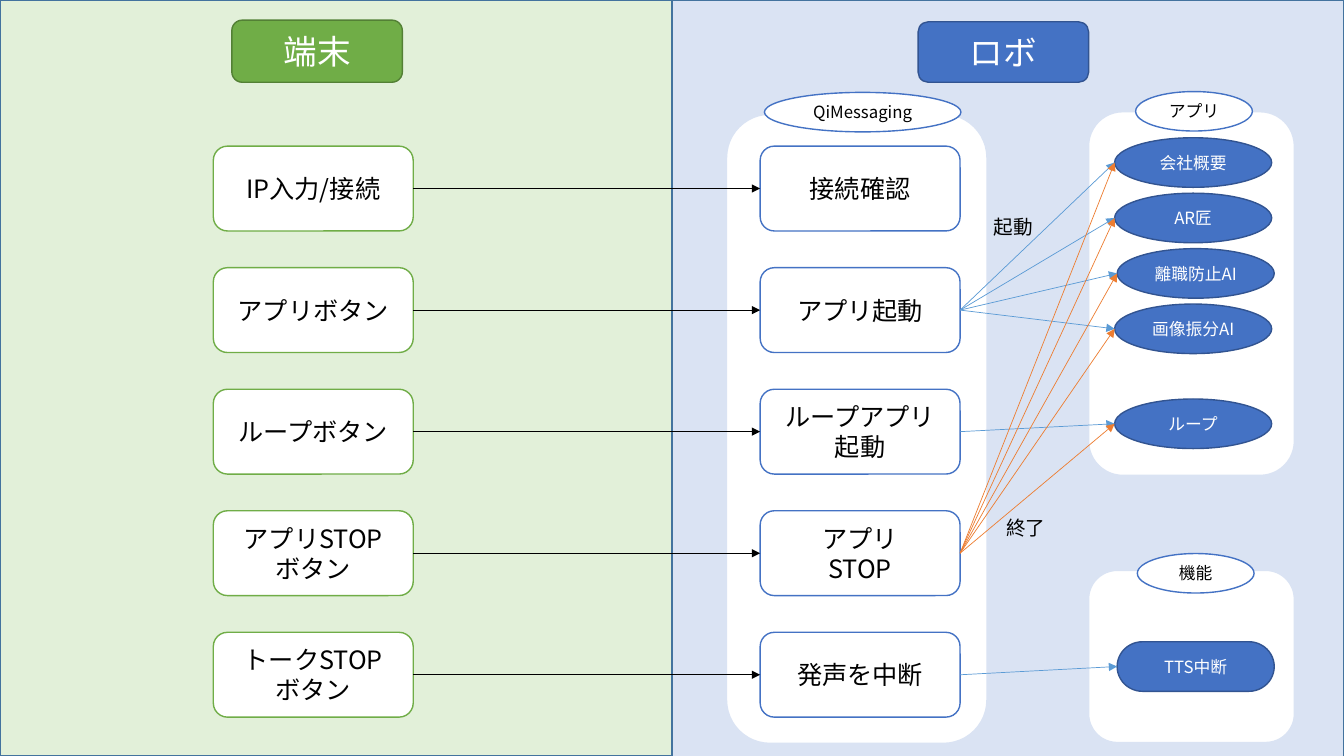
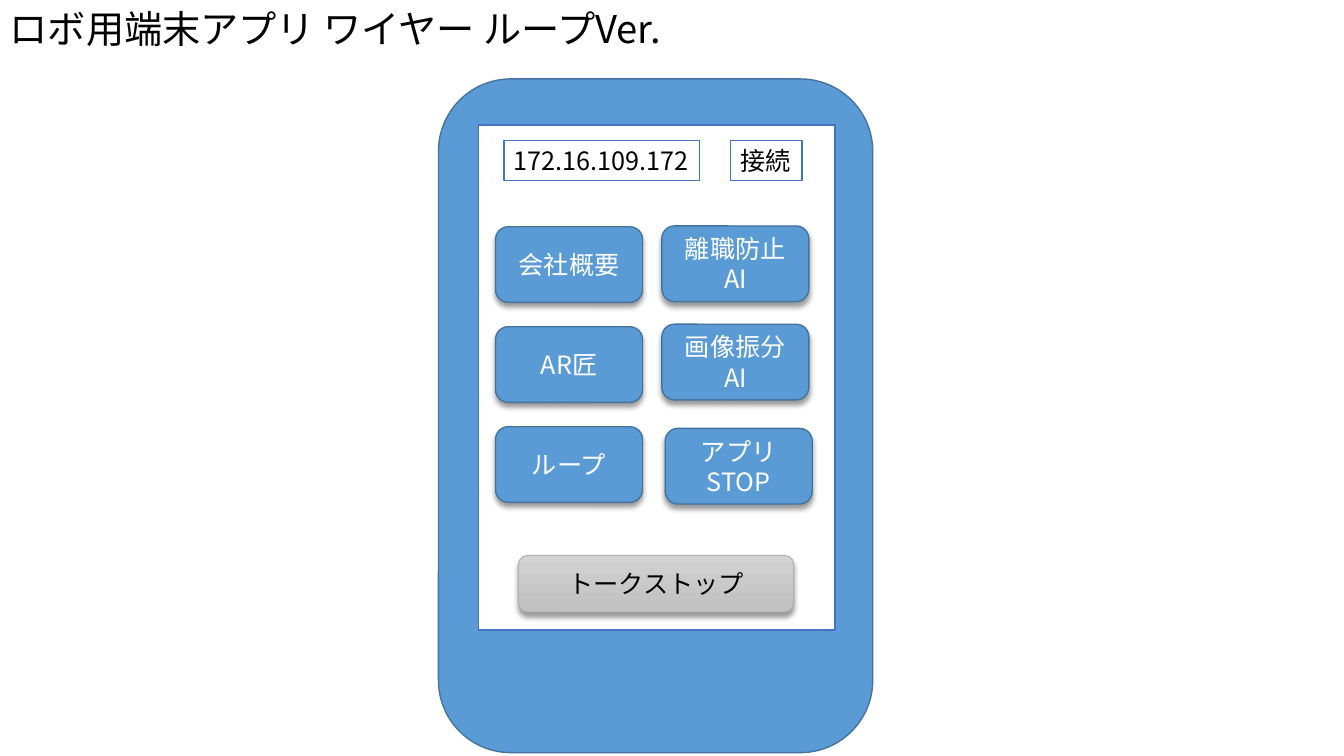
"""Build a system flow slide and a phone wireframe slide."""
from dataclasses import dataclass, replace
from typing import Any, Optional

from lxml import etree
from pptx import Presentation
from pptx import util as u
from pptx.dml.color import RGBColor
from pptx.enum import shapes, text
from pptx.oxml import ns

COLUMNS, ROWS = 160, 90
CELL = u.Inches(7.5) / ROWS
FONT = "Noto Sans CJK JP"
COLORS = {
    "white": "FFFFFF", "black": "000000", "blue": "4472C4", "blue_edge": "325491",
    "sky": "5B9BD5", "sky_edge": "43739E", "pale_blue": "DAE3F3",
    "green": "70AD47", "green_edge": "538035", "pale_green": "E2F0D9",
    "orange": "ED7D31", "gray_edge": "A5A5A5", "gray_top": "D2D2D2", "gray_end": "C0C0C0",
}
GEOMETRY = shapes.MSO_SHAPE
RECTANGLE, ROUNDED = GEOMETRY.RECTANGLE, GEOMETRY.ROUNDED_RECTANGLE
OVAL, TERMINATOR = GEOMETRY.FLOWCHART_CONNECTOR, GEOMETRY.FLOWCHART_TERMINATOR
CENTERED = {"vertical_anchor": text.MSO_ANCHOR.MIDDLE, "word_wrap": True}
FITTED = {"vertical_anchor": text.MSO_ANCHOR.TOP, "word_wrap": False,
          "auto_size": text.MSO_AUTO_SIZE.SHAPE_TO_FIT_TEXT}
TITLE = {"vertical_anchor": text.MSO_ANCHOR.TOP, "word_wrap": True}


@dataclass(frozen=True)
class Area:
    """A rectangle in grid cells."""
    column: float
    row: float
    width: float
    height: float

    def lengths(self) -> list[int]:
        """Return left, top, width and height in EMU."""
        return [cells(n) for n in (self.column, self.row, self.width, self.height)]


@dataclass(frozen=True)
class Style:
    """The look of a kind of shape."""
    geometry: Any
    fill: str
    line: str
    color: str = "black"
    size: float = 18
    line_width: float = 1
    shadow: bool = False
    gradient_end: Optional[str] = None
    fitted: bool = False


PANEL = Style(RECTANGLE, "pale_blue", "sky_edge")
GROUP = Style(ROUNDED, "white", "pale_blue")
HEADING = Style(ROUNDED, "blue", "blue_edge", "white", 24)
STEP = Style(ROUNDED, "white", "blue")
APP = Style(OVAL, "blue", "blue_edge", "white", 12)
CAPTION = Style(OVAL, "white", "blue", size=12)
PHONE = Style(ROUNDED, "sky", "sky_edge")
SCREEN = Style(RECTANGLE, "white", "blue")
FIELD = replace(SCREEN, fitted=True)
BUTTON = Style(ROUNDED, "sky", "sky_edge", "white", shadow=True)
TALK = Style(ROUNDED, "gray_top", "gray_edge", line_width=0.5, shadow=True,
             gradient_end="gray_end")


def cells(count: float) -> int:
    """Convert grid cells to EMU."""
    return round(count * CELL)


def rgb(name: str) -> RGBColor:
    """Look up a named colour."""
    return RGBColor.from_string(COLORS[name])


def add_xml(parent: Any, tag: str, **attributes: str) -> Any:
    """Append a drawing element."""
    return etree.SubElement(parent, ns.qn(tag), attributes)


def assign(target: Any, values: dict[str, Any]) -> None:
    """Set attributes from format values."""
    for name, value in values.items():
        setattr(target, name, value)


def write(shape: Any, words: str, size: float, color: str, frame: dict[str, Any],
          paragraph_format: dict[str, Any]) -> None:
    """Fill a shape with one formatted paragraph."""
    assign(shape.text_frame, frame)
    paragraph = shape.text_frame.paragraphs[0]
    paragraph.text = words
    assign(paragraph, paragraph_format)
    for run in paragraph.runs:
        assign(run.font, {"size": u.Pt(size), "name": FONT})
        run.font.color.rgb = rgb(color)
        add_xml(run.font._element, "a:ea", typeface=FONT)


def add_shadow(shape: Any) -> None:
    """Give a shape a soft shadow below it."""
    effects = shape.element.spPr.find(ns.qn("a:effectLst"))
    shadow = add_xml(effects, "a:outerShdw", blurRad=str(u.Pt(4)), dist=str(u.Pt(3)),
                     dir="5400000", algn="t", rotWithShape="0")
    color = add_xml(shadow, "a:srgbClr", val=COLORS["black"])
    add_xml(color, "a:alpha", val="40000")


def add_block(slide: Any, area: Area, style: Style, words: str = "") -> Any:
    """Draw a styled shape with optional text."""
    shape = slide.shapes.add_shape(style.geometry, *area.lengths())
    shape.shadow.inherit = False
    if style.gradient_end:
        shape.fill.gradient()
        shape.fill.gradient_angle = 270
        for stop, name in zip(shape.fill.gradient_stops, (style.fill, style.gradient_end)):
            stop.color.rgb = rgb(name)
    else:
        shape.fill.solid()
        shape.fill.fore_color.rgb = rgb(style.fill)
    shape.line.color.rgb = rgb(style.line)
    shape.line.width = u.Pt(style.line_width)
    if style.shadow:
        add_shadow(shape)
    if words:
        alignment = text.PP_ALIGN.LEFT if style.fitted else text.PP_ALIGN.CENTER
        write(shape, words, style.size, style.color, FITTED if style.fitted else CENTERED,
              {"alignment": alignment})
    return shape


def add_label(slide: Any, area: Area, words: str, size: float, frame: dict[str, Any],
              **paragraph_format: Any) -> None:
    """Draw a plain text box."""
    box = slide.shapes.add_textbox(*area.lengths())
    write(box, words, size, "black", frame, paragraph_format)


def add_arrow(slide: Any, source: Any, target: Any, color: str) -> None:
    """Draw an arrow from a right side to a left side."""
    connector = slide.shapes.add_connector(
        shapes.MSO_CONNECTOR.STRAIGHT,
        source.left + source.width, source.top + source.height // 2,
        target.left, target.top + target.height // 2)
    connector.begin_connect(source, 3)
    if target.auto_shape_type != OVAL:
        connector.end_connect(target, 1)
    connector.line.color.rgb = rgb(color)
    connector.line.width = u.Pt(0.5)
    add_xml(connector.get_or_add_ln(), "a:tailEnd", type="triangle")
    add_xml(connector.element.spPr, "a:effectLst")


def build_flow(slide: Any) -> None:
    """Draw the message flow between device and robot."""
    half = COLUMNS / 2
    add_block(slide, Area(half, 0.1, half, ROWS), PANEL)
    for area in (Area(86.5, 13.6, 31, 74.9), Area(129.6, 67.9, 24.5, 20.5),
                 Area(129.6, 13.3, 24.5, 43.3)):
        add_block(slide, area, GROUP)
    add_block(slide, Area(0, 0, half, ROWS), replace(PANEL, fill="pale_green"))
    add_block(slide, Area(27.6, 2.4, 20.3, 7.4),
              replace(HEADING, fill="green", line="green_edge"), "端末")
    add_block(slide, Area(109.3, 2.6, 20.3, 7.2), HEADING, "ロボ")

    pairs = (("IP入力/接続", "接続確認"), ("アプリボタン", "アプリ起動"),
             ("ループボタン", "ループアプリ\n起動"), ("アプリSTOP\nボタン", "アプリ\nSTOP"),
             ("トークSTOP\nボタン", "発声を中断"))
    steps = []
    for index, (request, action) in enumerate(pairs):
        area = Area(25.4, 17.4 + 14.47 * index, 23.8, 10.1)
        button = add_block(slide, area, replace(STEP, line="green"), request)
        steps.append(add_block(slide, replace(area, column=90.5), STEP, action))
        add_arrow(slide, button, steps[-1], "black")

    names = ("会社概要", "AR匠", "離職防止AI", "画像振分AI")
    places = [(name, 133 if index == 2 else 132.7, 16.4 + 6.6 * index)
              for index, name in enumerate(names)]
    places.append(("ループ", 132.7, 47.5))
    apps = [add_block(slide, Area(column, row, 18.7, 5.9), APP, name)
            for name, column, row in places]
    speech = add_block(slide, Area(133, 76.4, 18.7, 5.9),
                       replace(APP, geometry=TERMINATOR), "TTS中断")
    _, launch, loop, stop, mute = steps
    for source, targets, color in ((launch, apps[:-1], "sky"), (loop, apps[-1:], "sky"),
                                   (stop, apps, "orange"), (mute, [speech], "sky")):
        for target in targets:
            add_arrow(slide, source, target, color)

    for words, area in (("アプリ", Area(135.2, 10.9, 13.9, 4.7)),
                        ("機能", Area(135.4, 65.9, 13.9, 4.7)),
                        ("QiMessaging", Area(91, 11, 23.4, 4.7))):
        add_block(slide, area, CAPTION, words)
    for words, column, row in (("起動", 117.1, 25), ("終了", 118.6, 60.8)):
        add_label(slide, Area(column, row, 7.1, 4.1), words, 14, FITTED)


def build_wireframe(slide: Any) -> None:
    """Draw the phone screen with its buttons."""
    add_block(slide, Area(52.2, 9.4, 51.7, 80.2), PHONE)
    add_block(slide, Area(57, 14.9, 42.4, 60.1), SCREEN)
    add_block(slide, Area(60, 16.7, 23.3, 4.8), FIELD, "172.16.109.172")
    add_block(slide, Area(87, 16.7, 8.5, 4.8), FIELD, "接続")
    for words, column, row in (
            ("会社概要", 59, 27), ("離職防止AI", 78.8, 26.9),
            ("AR匠", 59, 38.9), ("画像振分AI", 78.8, 38.6),
            ("ループ", 59, 50.8), ("アプリSTOP", 79.2, 51)):
        add_block(slide, Area(column, row, 17.5, 9), BUTTON, words)
    add_block(slide, Area(61.7, 66.1, 32.8, 6.8), TALK, "トークストップ")
    add_label(slide, Area(0, 0.7, 138, 8.6), "ロボ用端末アプリ ワイヤー ループVer.", 27.3,
              TITLE, line_spacing=0.9)


def main() -> None:
    """Build and save the presentation."""
    presentation = Presentation()
    presentation.slide_width, presentation.slide_height = cells(COLUMNS), cells(ROWS)
    for build in (build_flow, build_wireframe):
        build(presentation.slides.add_slide(presentation.slide_layouts[6]))
    presentation.save("out.pptx")


if __name__ == "__main__":
    main()
